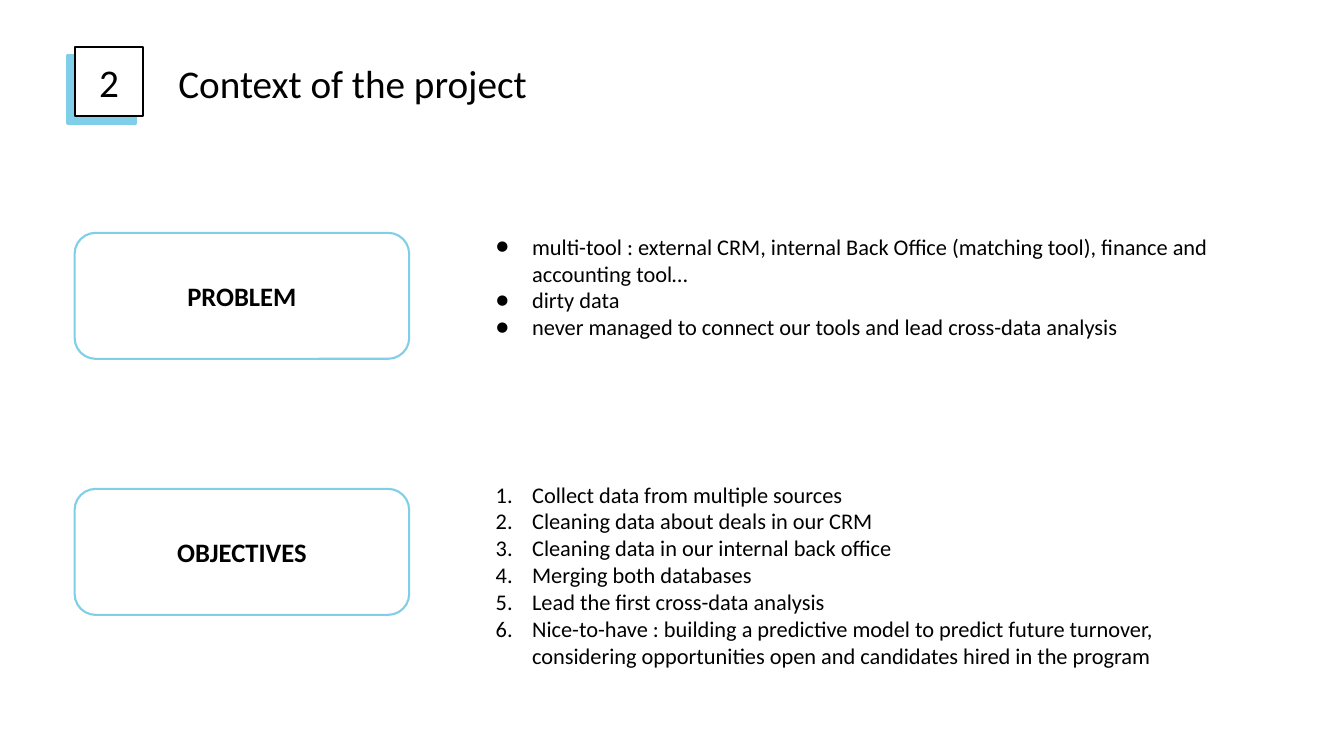
import pptx
import pptx.util
import pptx.dml.color
import pptx.enum.shapes
import pptx.enum.text
import pptx.oxml.ns
from lxml import etree

Pt = pptx.util.Pt
KIND = pptx.enum.shapes.MSO_SHAPE
ALIGN = pptx.enum.text.PP_ALIGN
ANCHOR = pptx.enum.text.MSO_ANCHOR
FIT = pptx.enum.text.MSO_AUTO_SIZE
FONT = "Calibri"
COLORS = {"ink": "000000", "paper": "FFFFFF", "sky": "80CEE8"}

LEFT, WIDE, HIGH = 53.3, 239, 90
# Each part: label, top of label, top and height of list, mark, items
PARTS = [
    ("PROBLEM", 166.3, 159.1, 92, "dot", [
        "multi-tool : external CRM, internal Back Office (matching tool), "
        "finance and accounting tool…",
        "dirty data",
        "never managed to connect our tools and lead cross-data analysis",
    ]),
    ("OBJECTIVES", 349.2, 336.2, 150.5, "number", [
        "Collect data from multiple sources",
        "Cleaning data about deals in our CRM",
        "Cleaning data in our internal back office",
        "Merging both databases",
        "Lead the first cross-data analysis",
        "Nice-to-have : building a predictive model to predict future "
        "turnover, considering opportunities open and candidates hired "
        "in the program",
    ]),
]


def color(name):
    return pptx.dml.color.RGBColor.from_string(COLORS[name])


def add_node(root, tag, **attrs):
    node = etree.SubElement(root, pptx.oxml.ns.qn(tag))
    for key, value in attrs.items():
        node.set(key, str(value))
    return node


def add_mark(para, mark):
    """Give a paragraph a hanging bullet or number."""
    props = para._p.get_or_add_pPr()
    props.set("marL", str(Pt(36)))
    props.set("indent", str(-Pt(26)))
    add_node(add_node(props, "a:buClr"), "a:srgbClr", val=COLORS["ink"])
    add_node(props, "a:buFont", typeface=FONT)
    if mark == "dot":
        add_node(props, "a:buChar", char="●")
    else:
        add_node(props, "a:buAutoNum", type="arabicPeriod")


def write(shape, *lines, size, bold=False, align=ALIGN.LEFT,
          anchor=ANCHOR.TOP, pad=(7.2, 3.6), mark=None, fit=FIT.NONE):
    """Fill a shape with one paragraph per line."""
    frame = shape.text_frame
    frame.word_wrap = True
    frame.auto_size = fit
    frame.vertical_anchor = anchor
    frame.margin_left = frame.margin_right = Pt(pad[0])
    frame.margin_top = frame.margin_bottom = Pt(pad[1])
    for i, line in enumerate(lines):
        para = frame.add_paragraph() if i else frame.paragraphs[0]
        para.alignment = align
        if mark:
            add_mark(para, mark)
        run = para.add_run()
        run.text = line
        run.font.name = FONT
        run.font.size = Pt(size)
        run.font.bold = bold
        run.font.color.rgb = color("ink")


def add_title(slide, text):
    title = slide.shapes.title
    title.left, title.top = Pt(120.2), Pt(38.9)
    title.width, title.height = Pt(674), Pt(41)
    write(title, text, size=28)


def add_box(slide, kind, left, top, width, height, line):
    box = slide.shapes.add_shape(
        kind, Pt(left), Pt(top), Pt(width), Pt(height))
    box.shadow.inherit = False
    box.fill.solid()
    box.fill.fore_color.rgb = color("paper")
    box.line.color.rgb = color(line)
    box.line.width = Pt(1.5)
    return box


def add_badge(slide, text):
    """Numbered square with a hard shadow to the lower left."""
    box = add_box(slide, KIND.RECTANGLE, LEFT, 33.8, 49, 49, "ink")
    effects = box._element.spPr.find(pptx.oxml.ns.qn("a:effectLst"))
    shade = add_node(effects, "a:outerShdw", dist=Pt(7.5),
                     dir=133 * 60000, algn="bl", rotWithShape=0)
    add_node(shade, "a:srgbClr", val=COLORS["sky"])
    write(box, text, size=28, align=ALIGN.CENTER, anchor=ANCHOR.MIDDLE)


def add_label(slide, text, top):
    box = add_box(slide, KIND.ROUNDED_RECTANGLE,
                  LEFT, top, WIDE, HIGH, "sky")
    write(box, text, size=19, bold=True, align=ALIGN.CENTER,
          anchor=ANCHOR.MIDDLE, pad=(9.6, 9.6))


def add_list(slide, items, top, height, mark):
    box = slide.shapes.add_textbox(Pt(337), Pt(top), Pt(543.6), Pt(height))
    write(box, *items, size=16, pad=(7.2, 7.2), mark=mark,
          fit=FIT.SHAPE_TO_FIT_TEXT)


def main():
    deck = pptx.Presentation()
    deck.slide_width, deck.slide_height = Pt(960), Pt(540)
    slide = deck.slides.add_slide(deck.slide_layouts.get_by_name("Title Only"))

    # Heading
    add_title(slide, "Context of the project")
    add_badge(slide, "2")

    # Labels with their lists
    for label, top, start, height, mark, items in PARTS:
        add_label(slide, label, top)
        add_list(slide, items, start, height, mark)

    deck.save("out.pptx")


if __name__ == "__main__":
    main()
